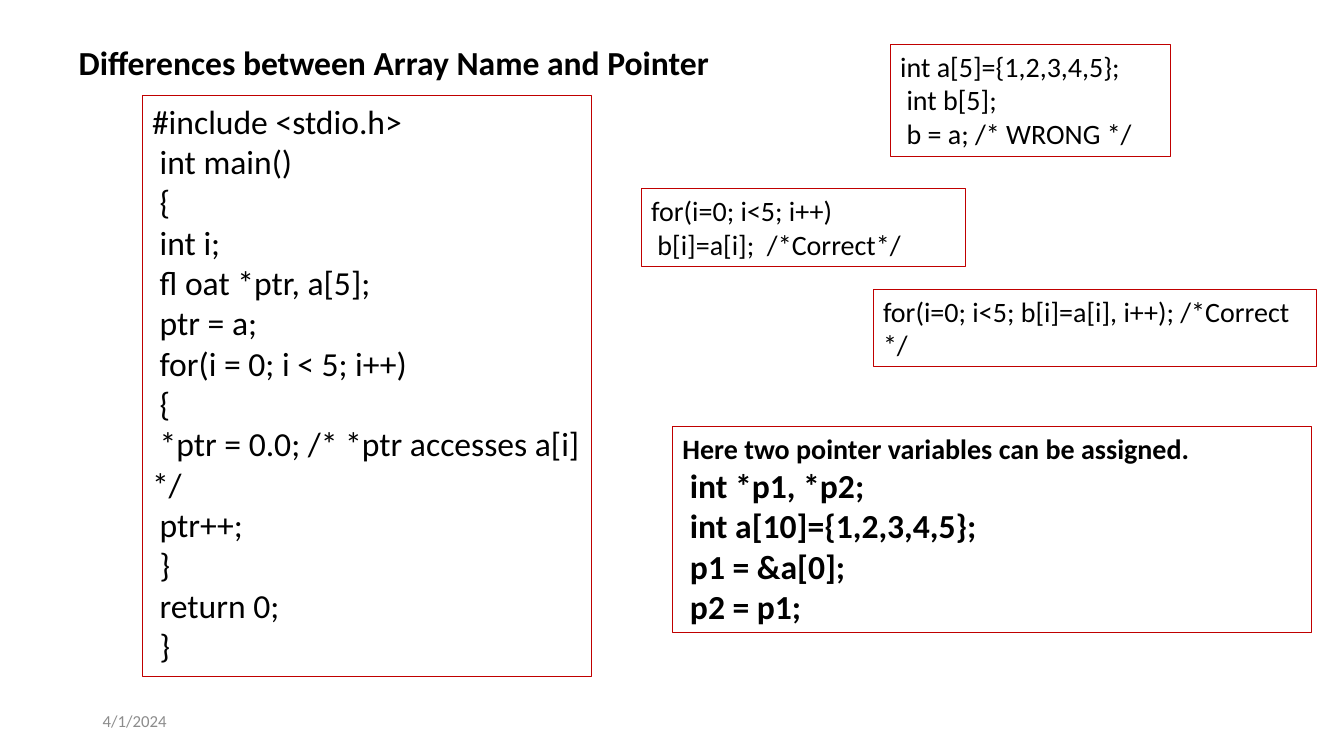
from dataclasses import dataclass

from pptx import Presentation
from pptx.dml.color import RGBColor
from pptx.enum.shapes import MSO_SHAPE
from pptx.enum.text import MSO_ANCHOR, MSO_AUTO_SIZE, PP_ALIGN
from pptx.slide import Slide
from pptx.text.text import TextFrame
from pptx.util import Inches, Pt

RECTANGLE = MSO_SHAPE.RECTANGLE
TOP, MIDDLE = MSO_ANCHOR.TOP, MSO_ANCHOR.MIDDLE
NO_AUTOFIT = MSO_AUTO_SIZE.NONE
LEFT = PP_ALIGN.LEFT

FONT = "Calibri"
COLORS = {"text": "000000", "border": "C00000", "date": "8C8C8C"}


@dataclass(frozen=True)
class CodeBox:
    left: float
    top: float
    width: float
    height: float
    lines: tuple[str, ...]
    size: int = 20
    heading_size: int = 20
    bold: bool = False


CODE_BOXES = (
    CodeBox(1.41, 0.95, 4.46, 5.76, (
        "#include <stdio.h>",
        " int main()",
        " {",
        " int i;",
        " fl oat *ptr, a[5];",
        " ptr = a;",
        " for(i = 0; i < 5; i++)",
        " {",
        " *ptr = 0.0; /* *ptr accesses a[i] */",
        " ptr++;",
        " }",
        " return 0;",
        " }",
    ), size=24, heading_size=24),
    CodeBox(8.83, 0.44, 2.78, 1.11, (
        "int a[5]={1,2,3,4,5};",
        " int b[5];",
        " b = a; /* WRONG */",
    )),
    CodeBox(6.36, 1.87, 3.22, 0.77, (
        "for(i=0; i<5; i++)",
        " b[i]=a[i];  /*Correct*/",
    )),
    CodeBox(8.66, 2.87, 4.4, 0.77, (
        "for(i=0; i<5; b[i]=a[i], i++); /*Correct */",
    )),
    CodeBox(6.67, 4.23, 6.34, 2.05, (
        "Here two pointer variables can be assigned.",
        " int *p1, *p2;",
        " int a[10]={1,2,3,4,5};",
        " p1 = &a[0];",
        " p2 = p1;",
    ), size=24, bold=True),
)


def format_text(tf: TextFrame, size: int, color: str = "text",
                bold: bool = False, anchor: MSO_ANCHOR = TOP) -> None:
    tf.word_wrap = True
    tf.auto_size = NO_AUTOFIT
    tf.vertical_anchor = anchor
    for p in tf.paragraphs:
        p.alignment = LEFT
        for r in p.runs:
            r.font.name = FONT
            r.font.size = Pt(size)
            r.font.bold = bold
            r.font.color.rgb = RGBColor.from_string(COLORS[color])


def add_title(s: Slide) -> None:
    sp = s.shapes.title
    sp.left, sp.top = Inches(0.68), Inches(0.37)
    sp.width, sp.height = Inches(6.67), Inches(0.5)
    sp.text_frame.text = "Differences between Array Name and Pointer"
    format_text(sp.text_frame, 24, bold=True)


def add_date(s: Slide) -> None:
    sp = s.shapes.add_textbox(Inches(0.92), Inches(6.95), Inches(3), Inches(0.4))
    sp.text_frame.text = "4/1/2024"
    format_text(sp.text_frame, 12, "date", anchor=MIDDLE)


def add_code_box(s: Slide, box: CodeBox) -> None:
    sp = s.shapes.add_shape(RECTANGLE, Inches(box.left), Inches(box.top),
                            Inches(box.width), Inches(box.height))
    sp.shadow.inherit = False
    sp.fill.background()
    sp.line.color.rgb = RGBColor.from_string(COLORS["border"])
    sp.line.width = Pt(0.75)
    tf = sp.text_frame
    tf.text = "\n".join(box.lines)
    format_text(tf, box.size, bold=box.bold)
    for r in tf.paragraphs[0].runs:
        r.font.size = Pt(box.heading_size)


def main() -> None:
    prs = Presentation()
    prs.slide_width, prs.slide_height = Inches(13.33), Inches(7.5)
    s = prs.slides.add_slide(prs.slide_layouts.get_by_name("Title Only"))
    add_title(s)
    add_date(s)
    for box in CODE_BOXES:
        add_code_box(s, box)
    prs.save("out.pptx")


if __name__ == "__main__":
    main()
